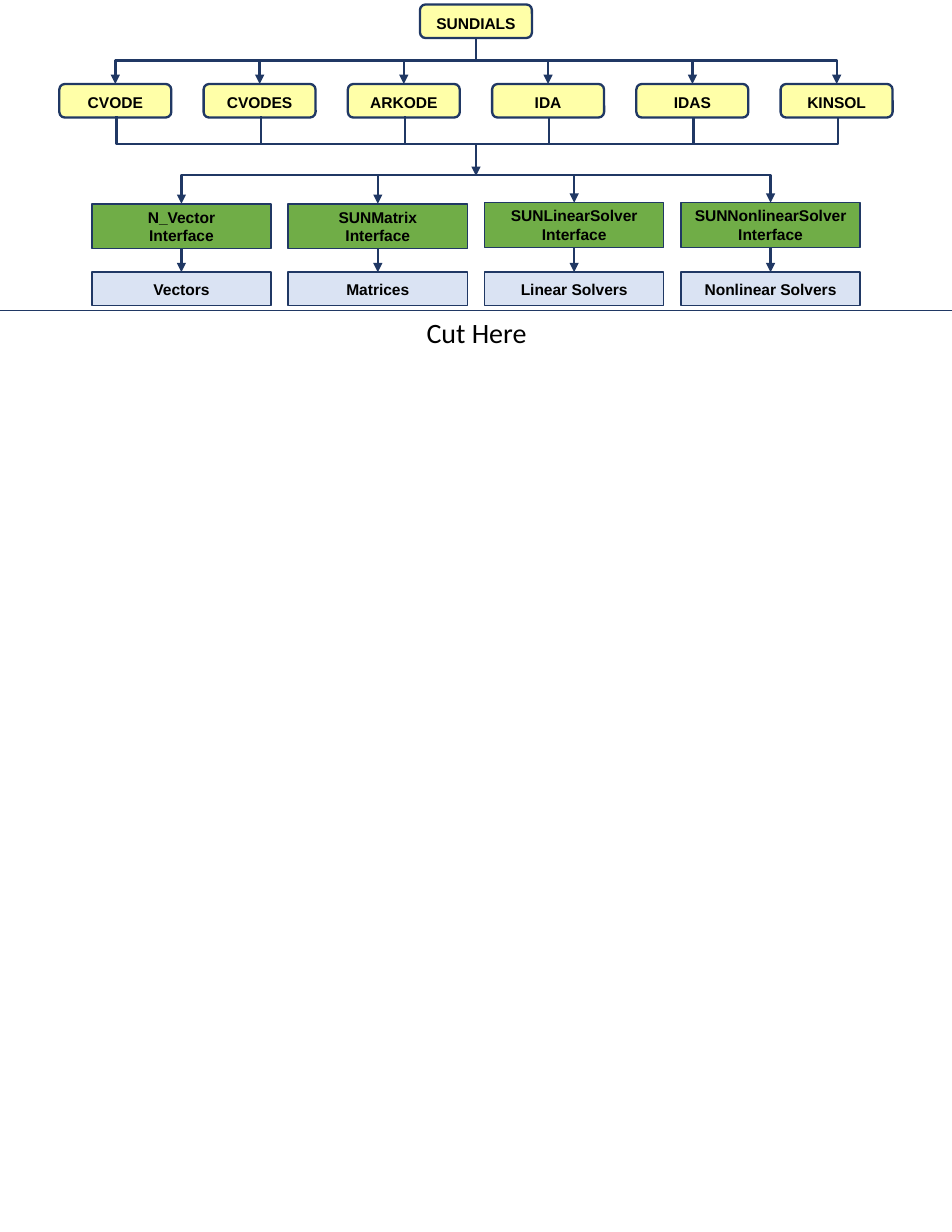
from dataclasses import dataclass

from lxml import etree
from pptx import Presentation
from pptx.dml.color import RGBColor
from pptx.enum.shapes import MSO_CONNECTOR, MSO_SHAPE
from pptx.enum.text import MSO_ANCHOR, MSO_AUTO_SIZE, PP_ALIGN
from pptx.oxml.ns import qn
from pptx.util import Inches, Pt

STRAIGHT, ELBOW = MSO_CONNECTOR.STRAIGHT, MSO_CONNECTOR.ELBOW
RECTANGLE, ROUNDED = MSO_SHAPE.RECTANGLE, MSO_SHAPE.ROUNDED_RECTANGLE
CENTER, MIDDLE = PP_ALIGN.CENTER, MSO_ANCHOR.MIDDLE
GROW = MSO_AUTO_SIZE.SHAPE_TO_FIT_TEXT


@dataclass(frozen=True)
class Theme:
    """Colours, fonts and sizes of the diagram."""
    navy: RGBColor = RGBColor(0x20, 0x38, 0x64)
    yellow: RGBColor = RGBColor(0xFF, 0xFF, 0x00)
    green: RGBColor = RGBColor(0x70, 0xAD, 0x47)
    pale_blue: RGBColor = RGBColor(0xDA, 0xE3, 0xF3)
    black: RGBColor = RGBColor(0, 0, 0)
    yellow_opacity: int = 34000
    label_font: str = "Arial"
    label_size: float = 10
    note_font: str = "Calibri"
    note_size: float = 18
    heavy: float = 1.5
    medium: float = 1
    thin: float = 0.5


THEME = Theme()
LABEL = {"name": THEME.label_font, "size": Pt(THEME.label_size), "bold": True}
NOTE = {"name": THEME.note_font, "size": Pt(THEME.note_size)}
PACKAGES = ["CVODE", "CVODES", "ARKODE", "IDA", "IDAS", "KINSOL"]
INTERFACES = [
    ("N_Vector", "Vectors", 0.01),
    ("SUNMatrix", "Matrices", 0.01),
    ("SUNLinearSolver", "Linear Solvers", 0),
    ("SUNNonlinearSolver", "Nonlinear Solvers", 0),
]


def apply(target, values):
    """Set every named attribute on the target."""
    for name, value in values.items():
        setattr(target, name, value)


def write(frame, lines, font, spacing=None):
    """Fill a text frame with centred paragraphs."""
    for index, line in enumerate(lines):
        para = frame.add_paragraph() if index else frame.paragraphs[0]
        apply(para, {"alignment": CENTER, "line_spacing": spacing})
        span = para.add_run()
        span.text = line
        apply(span.font, font)
        span.font.color.rgb = THEME.black


def add_box(shapes, kind, bounds, lines, fill, weight, spacing=None):
    """Add a filled, outlined and labelled box."""
    box = shapes.add_shape(kind, *map(Inches, bounds))
    box.shadow.inherit = False
    box.fill.solid()
    box.fill.fore_color.rgb = fill
    box.line.color.rgb = THEME.navy
    box.line.width = Pt(weight)
    apply(box.text_frame, {"word_wrap": True, "vertical_anchor": MIDDLE})
    write(box.text_frame, lines, LABEL, spacing)
    return box


def add_package_box(shapes, left, top, name):
    """Add a rounded translucent yellow box for a package."""
    box = add_box(shapes, ROUNDED, (left, top, 1, 0.3), [name],
                  THEME.yellow, THEME.heavy, 1.2)
    color = next(box._element.spPr.iter(qn("a:srgbClr")))
    etree.SubElement(color, qn("a:alpha"), val=str(THEME.yellow_opacity))


def add_line(shapes, start, end, ends=(), weight=THEME.heavy, kind=STRAIGHT):
    """Add a connector with arrowheads at the listed ends."""
    line = shapes.add_connector(kind, *map(Inches, (*start, *end)))
    line.line.color.rgb = THEME.navy
    line.line.width = Pt(weight)
    properties = line._element.spPr
    for end_name in ends:
        etree.SubElement(properties.get_or_add_ln(), qn(f"a:{end_name}"), type="triangle")
    etree.SubElement(properties, qn("a:effectLst"))
    return line


def add_elbow(shapes, start, end, bend, ends=()):
    """Add a connector that leaves vertically and turns at the bend height."""
    run, drop = end[0] - start[0], end[1] - start[1]
    middle_x, middle_y = (start[0] + end[0]) / 2, (start[1] + end[1]) / 2
    half_width, half_height = drop / 2, abs(run) / 2
    line = add_line(shapes, (middle_x - half_width, middle_y - half_height),
                    (middle_x + half_width, middle_y + half_height), ends, kind=ELBOW)
    properties = line._element.spPr
    frame = properties.find(qn("a:xfrm"))
    frame.set("rot", str((90 if run < 0 else 270) * 60000))
    if run > 0:
        frame.set("flipH", "1")
    adjustments = properties.find(qn("a:prstGeom")).find(qn("a:avLst"))
    share = round((bend - start[1]) / drop * 100000)
    etree.SubElement(adjustments, qn("a:gd"), name="adj1", fmla=f"val {share}")


def add_packages(page, left, top, width):
    """Draw the suite, its packages and the lines joining them."""
    shapes = page.shapes.add_group_shape().shapes
    center, row = left + width / 2, top + 0.71
    pitch = (width - 1) / (len(PACKAGES) - 1)
    lefts = [left + pitch * index for index in range(len(PACKAGES))]
    add_package_box(shapes, center - 0.5, top, "SUNDIALS")
    for box_left, name in zip(lefts, PACKAGES):
        add_package_box(shapes, box_left, row, name)
        add_elbow(shapes, (center, top + 0.3), (box_left + 0.5, row), top + 0.5, ["tailEnd"])
    for first, last in zip(lefts[:3], reversed(lefts)):
        add_elbow(shapes, (first + 0.51, row + 0.29), (last + 0.51, row + 0.3),
                  row + 0.54)


def add_interfaces(page, left, top, width):
    """Draw the interface columns and the branch that feeds them."""
    pitch = (width - 1.6) / (len(INTERFACES) - 1)
    branch, base = top - 0.25, top + 0.62
    add_elbow(page.shapes, (left + width - 0.8, top), (left + 0.8, top + 0.01),
              branch, ["headEnd", "tailEnd"])
    shapes = page.shapes.add_group_shape().shapes
    for index, (name, members, offset) in enumerate(INTERFACES):
        column, row = left + pitch * index, top + offset
        center = column + 0.8
        if 0 < index < len(INTERFACES) - 1:
            add_line(shapes, (center, branch), (center, row), ["tailEnd"])
        add_box(shapes, RECTANGLE, (column, row, 1.6, 0.4), [name, "Interface"],
                THEME.green, THEME.medium)
        add_line(shapes, (center, row + 0.4), (center, base), ["tailEnd"])
        add_box(shapes, RECTANGLE, (column, base, 1.6, 0.3), [members],
                THEME.pale_blue, THEME.medium)


def add_cut_mark(page, left, top, width):
    """Draw the cutting line and its note."""
    add_line(page.shapes, (left, top), (left + width, top), weight=THEME.thin)
    bounds = (left + width / 2 - 1.22, top, 2.45, 0.4)
    frame = page.shapes.add_textbox(*map(Inches, bounds)).text_frame
    apply(frame, {"word_wrap": True, "auto_size": GROW})
    write(frame, ["Cut Here"], NOTE)


def build():
    """Build and save the diagram page."""
    deck = Presentation()
    apply(deck, {"slide_width": Inches(8.5), "slide_height": Inches(11)})
    page = deck.slides.add_slide(deck.slide_layouts[6])
    add_packages(page, 0.53, 0.04, 7.44)
    add_line(page.shapes, (4.25, 1.29), (4.25, 1.57), ["tailEnd"])
    add_interfaces(page, 0.82, 1.81, 6.86)
    add_cut_mark(page, 0, 2.77, 8.5)
    deck.save("out.pptx")


build()
